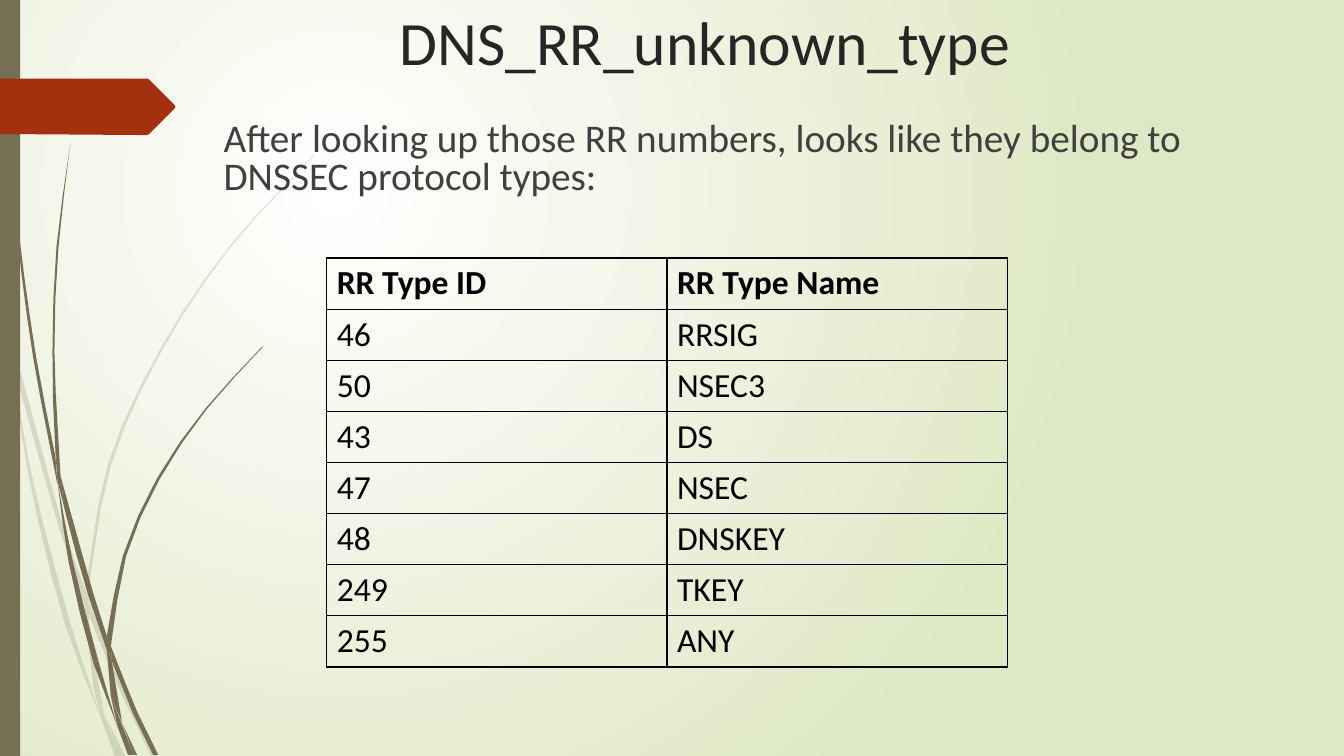
import math

import lxml.etree
import pptx
import pptx.dml.color
import pptx.enum.shapes
import pptx.enum.text
import pptx.oxml.ns
import pptx.util

# Content
TITLE = "DNS_RR_unknown_type"
INTRO = ("After looking up those RR numbers, looks like they belong to "
         "DNSSEC protocol types:")
RECORD_TYPES = [
    ("RR Type ID", "RR Type Name"),
    ("46", "RRSIG"),
    ("50", "NSEC3"),
    ("43", "DS"),
    ("47", "NSEC"),
    ("48", "DNSKEY"),
    ("249", "TKEY"),
    ("255", "ANY"),
]

# Grass blades: the two edges of each piece, as points on a smooth curve
FAINT_BLADES = [
    ([(11, 350), (0, 282)], [(0, 299), (11, 350)]),
    ([(14, 345), (62, 520), (85, 586)], [(84, 599), (58, 522), (17, 376)]),
    ([(88, 596), (127, 692), (155, 750)], [(150, 750), (123, 694), (88, 610)]),
    ([(105, 711), (124, 750)], [(119, 750), (105, 711)]),
    ([(11, 350), (31, 469), (70, 619), (101, 714)],
     [(101, 714), (65, 621), (28, 470), (11, 350)]),
    ([(84, 599), (93, 683), (105, 711)], [(103, 706), (91, 646), (88, 610)]),
    ([(88, 596), (88, 584), (110, 462), (160, 349), (229, 245), (312, 154)],
     [(312, 153), (228, 244), (158, 348), (107, 461), (85, 584)]),
    ([(101, 714), (114, 750)], [(119, 750), (101, 714)]),
    ([(84, 599), (85, 586)], [(88, 596), (88, 610)]),
    ([(93, 683), (101, 714), (119, 750)], [(119, 750), (93, 683)]),
]
DARK_BLADES = [
    ([(3, 0), (7, 110), (17, 233), (33, 355), (57, 481)],
     [(55, 453), (36, 355), (19, 232), (8, 109), (4, 0)]),
    ([(60, 472), (64, 505), (88, 592), (106, 645)],
     [(106, 631), (93, 590), (60, 472)]),
    ([(110, 641), (136, 706), (157, 749)], [(152, 749), (132, 708), (111, 656)]),
    ([(57, 477), (72, 556), (98, 657), (117, 722)],
     [(117, 722), (93, 659), (68, 557), (57, 477)]),
    ([(60, 472), (54, 349), (58, 245), (70, 141)],
     [(70, 141), (56, 245), (52, 349), (55, 449), (60, 472)]),
    ([(122, 719), (136, 749)], [(133, 749), (122, 719)]),
    ([(55, 449), (57, 477), (64, 505)], [(60, 472), (55, 449)]),
    ([(110, 641), (125, 552), (158, 476), (205, 406), (261, 344)],
     [(260, 344), (204, 405), (156, 474), (122, 551), (106, 631)]),
    ([(117, 722), (127, 749)], [(131, 749), (117, 722)]),
    ([(106, 645), (110, 691), (122, 719)], [(121, 716), (111, 656), (106, 645)]),
    ([(106, 645), (111, 656)], [(110, 641), (106, 631)]),
    ([(110, 691), (117, 722), (130, 749)], [(133, 749), (110, 691)]),
]
ARROW = [(173, 108), (148, 133), (146, 134), (136, 134), (0, 133), (0, 78),
         (146, 78), (148, 79), (173, 104), (174, 106)]

# Layout in px, 100 to the inch
SCALE = 9144
SLIDE_WIDTH, SLIDE_HEIGHT = 1333, 750
TITLE_BOX = (212, -1, 975, 140)
INTRO_BOX = (212, 116, 975, 413)
TABLE_BOX = (324, 256, 675, 400)
BAR_BOX = (0, 0, 20, SLIDE_HEIGHT)
CURVE_STEP = 45

FONT = "Calibri"
WHITE = pptx.dml.color.RGBColor(0xFF, 0xFF, 0xFF)
PALE_GREEN = pptx.dml.color.RGBColor(0xDF, 0xE8, 0xC4)
OLIVE = pptx.dml.color.RGBColor(0x76, 0x6F, 0x54)
RUST = pptx.dml.color.RGBColor(0xA5, 0x30, 0x10)
TITLE_GREY = pptx.dml.color.RGBColor(0x26, 0x26, 0x26)
TEXT_GREY = pptx.dml.color.RGBColor(0x40, 0x40, 0x40)
BLACK = pptx.dml.color.RGBColor(0, 0, 0)


def emu(lengths):
    return [length * SCALE for length in lengths]


def add_xml(parent, tag, **attributes):
    return lxml.etree.SubElement(parent, pptx.oxml.ns.qn(tag), attributes)


def add_span(para, text, size, color, bold=False):
    span = para.add_run()
    span.text = text
    span.font.name = FONT
    span.font.size = pptx.util.Pt(size)
    span.font.bold = bold
    span.font.color.rgb = color


def paint(shape, color, opacity=100):
    shape.shadow.inherit = False
    shape.line.fill.background()
    shape.fill.solid()
    shape.fill.fore_color.rgb = color
    if opacity < 100:
        tint = shape.element.spPr.find(".//" + pptx.oxml.ns.qn("a:srgbClr"))
        add_xml(tint, "a:alpha", val=str(opacity * 1000))


def smooth(edge):
    """Return points along a curve that passes through every point of the edge."""
    last = len(edge) - 1
    tangents = []
    for i in range(len(edge)):
        before, after = edge[max(i - 1, 0)], edge[min(i + 1, last)]
        reach = math.dist(before, after)
        tangents.append([(b - a) / reach for a, b in zip(before, after)])
    points = [edge[0]]
    for i in range(last):
        start, end = edge[i], edge[i + 1]
        third = math.dist(start, end) / 3
        steps = max(1, round(3 * third / CURVE_STEP))
        for step in range(1, steps + 1):
            t = step / steps
            u = 1 - t
            points.append(tuple(
                u**3 * start[k] + 3 * u * u * t * (start[k] + third * tangents[i][k])
                + 3 * u * t * t * (end[k] - third * tangents[i + 1][k]) + t**3 * end[k]
                for k in (0, 1)))
    return points


def add_outline(page, points, color, opacity=100):
    corners = [tuple(round(value) for value in emu(point)) for point in points]
    builder = page.shapes.build_freeform(*corners[0], scale=1.0)
    builder.add_line_segments(corners[1:], close=True)
    paint(builder.convert_to_shape(), color, opacity)


def add_background(page):
    fill = page.background.fill
    fill.gradient()
    for stop, color in zip(fill.gradient_stops, (WHITE, PALE_GREEN)):
        stop.color.rgb = color
    linear = page.element.find(".//" + pptx.oxml.ns.qn("a:lin"))
    gradient = linear.getparent()
    gradient.remove(linear)
    circle = add_xml(gradient, "a:path", path="circle")
    add_xml(circle, "a:fillToRect", l="50000", t="50000", r="100000", b="100000")


def add_borders(cell):
    properties = cell._tc.get_or_add_tcPr()
    for tag in ("a:lnL", "a:lnR", "a:lnT", "a:lnB"):
        line = add_xml(properties, tag, w=str(pptx.util.Pt(1)))
        add_xml(add_xml(line, "a:solidFill"), "a:srgbClr", val=str(BLACK))


def add_record_table(page):
    rows, columns = len(RECORD_TYPES), len(RECORD_TYPES[0])
    table = page.shapes.add_table(rows, columns, *emu(TABLE_BOX)).table
    table.horz_banding = False
    table.first_row = False
    for r, record in enumerate(RECORD_TYPES):
        for c, text in enumerate(record):
            cell = table.cell(r, c)
            add_borders(cell)
            cell.fill.background()
            add_span(cell.text_frame.paragraphs[0], text, 24, BLACK, bold=r == 0)


def main():
    deck = pptx.Presentation()
    deck.slide_width, deck.slide_height = emu((SLIDE_WIDTH, SLIDE_HEIGHT))
    page = deck.slides.add_slide(deck.slide_layouts[5])
    add_background(page)

    # Side decoration
    for blades, opacity in ((FAINT_BLADES, 20), (DARK_BLADES, 100)):
        for one_edge, other_edge in blades:
            add_outline(page, smooth(one_edge) + smooth(other_edge), OLIVE, opacity)
    bar = page.shapes.add_shape(pptx.enum.shapes.MSO_SHAPE.RECTANGLE, *emu(BAR_BOX))
    paint(bar, OLIVE)
    add_outline(page, ARROW, RUST)

    # Title and introduction
    title = page.shapes.title
    title.left, title.top, title.width, title.height = emu(TITLE_BOX)
    intro = page.shapes.add_textbox(*emu(INTRO_BOX))
    for box in (title, intro):
        box.text_frame.word_wrap = True
        box.text_frame.auto_size = pptx.enum.text.MSO_AUTO_SIZE.NONE
        box.text_frame.vertical_anchor = pptx.enum.text.MSO_ANCHOR.TOP
    para = title.text_frame.paragraphs[0]
    para.alignment = pptx.enum.text.PP_ALIGN.CENTER
    add_span(para, TITLE, 44, TITLE_GREY)
    para = intro.text_frame.paragraphs[0]
    para.line_spacing = 0.81
    para.space_before = pptx.util.Pt(10)
    add_span(para, INTRO, 28, TEXT_GREY)

    add_record_table(page)
    deck.save("out.pptx")


if __name__ == "__main__":
    main()
